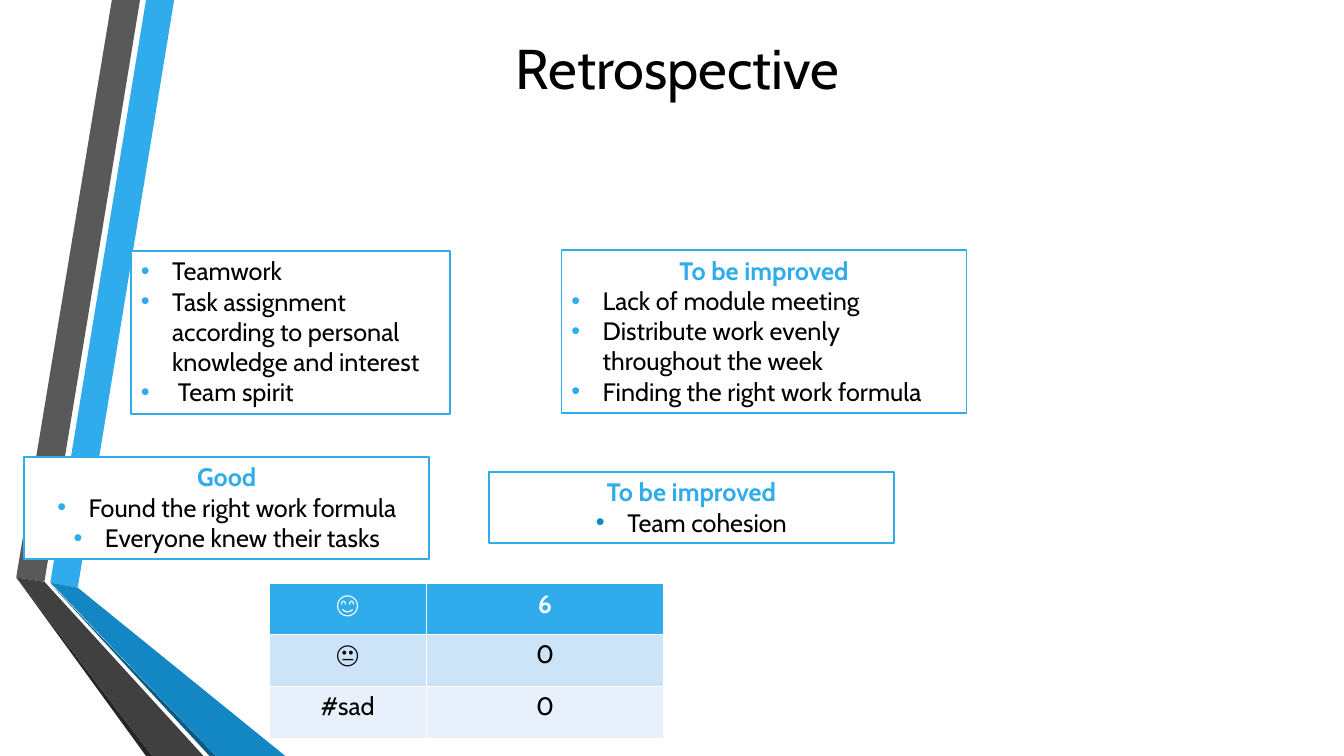
from lxml.etree import SubElement
from pptx import Presentation
from pptx.dml.color import RGBColor
from pptx.enum.shapes import MSO_SHAPE
from pptx.enum.text import MSO_ANCHOR, MSO_AUTO_SIZE, PP_ALIGN
from pptx.oxml.ns import qn
from pptx.util import Cm, Pt

BLUE, DEEP, BLACK, WHITE = "30ACEC", "1287C3", "000000", "FFFFFF"
LEFT, MID = PP_ALIGN.LEFT, PP_ALIGN.CENTER


def color(code):
    return RGBColor.from_string(code)


def write(para, text, size=18, ink=BLACK, bold=False, align=MID, dot=None):
    """Fill a paragraph; dot is the bullet colour, if any."""
    para.alignment = align
    run = para.add_run()
    run.text = text
    font = run.font
    font.name, font.size, font.bold = "Cabin", Pt(size), bold
    font.color.rgb = color(ink)
    if dot:
        props = para._p.get_or_add_pPr()
        props.set("marL", str(Cm(0.79)))
        props.set("indent", str(-Cm(0.79)))
        SubElement(SubElement(props, qn("a:buClr")), qn("a:srgbClr"), val=dot)
        SubElement(props, qn("a:buFont"), typeface="Arial")
        SubElement(props, qn("a:buChar"), char="•")


class Deck:
    font_size = 18
    line_width = Pt(1.25)

    def __init__(self, width, height):
        self.show = Presentation()
        self.show.slide_width, self.show.slide_height = Cm(width), Cm(height)
        self.slide = self.show.slides.add_slide(self.show.slide_layouts[5])
        self.shapes = self.slide.shapes

    def title(self, text, x, y, w, h):
        head = self.shapes.title
        head.left, head.top, head.width, head.height = map(Cm, (x, y, w, h))
        head.text_frame.vertical_anchor = MSO_ANCHOR.MIDDLE
        write(head.text_frame.paragraphs[0], text, size=40)

    def band(self, fill, *points):
        first, *rest = [(Cm(x), Cm(y)) for x, y in points]
        path = self.shapes.build_freeform(*first)
        path.add_line_segments(rest, close=True)
        shape = path.convert_to_shape()
        shape.shadow.inherit = False
        shape.fill.solid()
        shape.fill.fore_color.rgb = color(fill)
        shape.line.fill.background()

    def box(self, x, y, w, h, items, head=None, align=LEFT, dot=BLUE):
        shape = self.shapes.add_shape(MSO_SHAPE.RECTANGLE, *map(Cm, (x, y, w, h)))
        shape.shadow.inherit = False
        shape.fill.solid()
        shape.fill.fore_color.rgb = color(WHITE)
        shape.line.color.rgb = color(BLUE)
        shape.line.width = self.line_width
        frame = shape.text_frame
        frame.word_wrap = True
        frame.auto_size = MSO_AUTO_SIZE.SHAPE_TO_FIT_TEXT
        frame.vertical_anchor = MSO_ANCHOR.TOP
        lines = [(item, dict(align=align, dot=dot)) for item in items]
        if head:
            lines.insert(0, (head, dict(ink=BLUE, bold=True)))
        for i, (text, style) in enumerate(lines):
            para = frame.add_paragraph() if i else frame.paragraphs[0]
            write(para, text, size=self.font_size, **style)

    def table(self, x, y, cols, rows, fills, data):
        area = map(Cm, (x, y, sum(cols), sum(rows)))
        grid = self.shapes.add_table(len(rows), len(cols), *area).table
        for col, width in zip(grid.columns, cols):
            col.width = Cm(width)
        for i, (row, height) in enumerate(zip(grid.rows, rows)):
            row.height = Cm(height)
            for cell, text in zip(row.cells, data[i]):
                cell.fill.solid()
                cell.fill.fore_color.rgb = color(fills[i])
                write(cell.text_frame.paragraphs[0], text, size=self.font_size,
                      ink=BLACK if i else WHITE, bold=not i)


def main():
    deck = Deck(33.87, 19.05)

    # Folded bands on the left
    deck.band(BLUE, (1.27, 14.68), (1.96, 14.81), (4.39, 0), (3.68, 0))
    deck.band("595959", (3.53, 0), (2.82, 0), (0.41, 14.55), (1.12, 14.66))
    deck.band("262626", (0.41, 14.55), (3.68, 19.05), (3.84, 19.05))
    deck.band("0C5A82", (1.27, 14.71), (5.28, 19.05), (5.44, 19.05))
    deck.band(DEEP, (1.27, 14.68), (5.44, 19.05), (7.19, 19.05), (1.96, 14.81))
    deck.band("404040", (5.13, 19.05), (1.12, 14.66), (0.41, 14.55), (3.84, 19.05))

    deck.title("Retrospective", 3.15, 0.28, 27.84, 2.84)

    # Mood votes
    deck.table(6.78, 14.71, (3.96, 5.99), (1.27, 1.32, 1.32),
               (BLUE, "CDE3F8", "E8F1FB"),
               (("😊", "6"), ("😐", "0"), ("#sad", "0")))

    # Good points and points to improve
    deck.box(0.61, 11.51, 10.21, 2.57,
             ["Found the right work formula", "Everyone knew their tasks"],
             head="Good", align=MID)
    deck.box(12.32, 11.89, 10.21, 1.8, ["Team cohesion"],
             head="To be improved", align=MID, dot=DEEP)
    deck.box(3.3, 6.32, 8.05, 4.11,
             ["Teamwork",
              "Task assignment according to personal knowledge and interest",
              " Team spirit"])
    deck.box(14.15, 6.3, 10.21, 4.11,
             ["Lack of module meeting",
              "Distribute work evenly throughout the week",
              "Finding the right work formula"],
             head="To be improved")

    deck.show.save("out.pptx")


if __name__ == "__main__":
    main()
